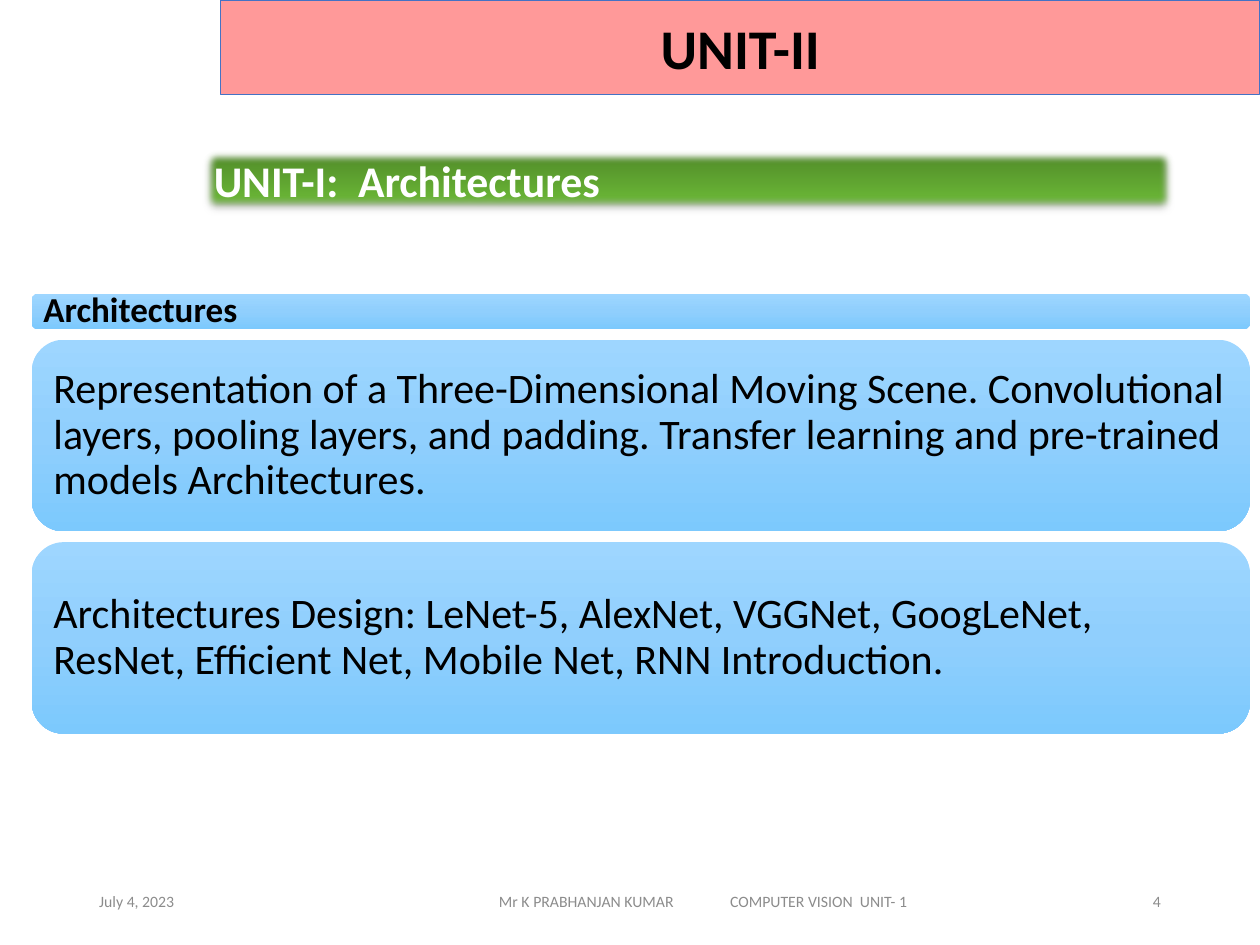
from dataclasses import dataclass

import lxml.etree
import pptx
import pptx.dml.color
import pptx.enum.shapes
import pptx.enum.text
import pptx.oxml.ns
import pptx.util

Cm = pptx.util.Cm
Pt = pptx.util.Pt
qn = pptx.oxml.ns.qn
Shapes = pptx.enum.shapes.MSO_SHAPE
Align = pptx.enum.text.PP_ALIGN
Anchor = pptx.enum.text.MSO_ANCHOR

BLUE_STOPS = [(0, "9ED6FF"), (50, "90CFFD"), (100, "7CC9FD")]
GREEN_STOPS = [(0, "4D8527"), (80, "6AB636"), (100, "6ABA34")]
CARD_GAP = 0.22


@dataclass
class Box:
    left: float
    top: float
    width: float
    height: float

    def lengths(self):
        return Cm(self.left), Cm(self.top), Cm(self.width), Cm(self.height)


@dataclass
class Footer:
    text: str
    left: float
    width: float
    align: Align = Align.LEFT
    inset: float = 0.25
    tab: float = 0


@dataclass
class Card:
    text: str
    height: float
    size: float = 24
    bold: bool = False
    inset: float = 0.25
    inset_y: float = 0.25


def rgb(value: str):
    return pptx.dml.color.RGBColor.from_string(value)


def add_element(parent, tag: str, **attributes):
    return lxml.etree.SubElement(
        parent, qn(tag), {key: str(value) for key, value in attributes.items()}
    )


def write_text(shape, text: str, *, size: float, color: str = "000000",
               bold: bool = False, align=Align.LEFT, anchor=Anchor.MIDDLE,
               inset: float = 0.25, inset_y: float = 0.13,
               line_spacing: float | None = None, tab: float = 0):
    frame = shape.text_frame
    frame.word_wrap = True
    frame.vertical_anchor = anchor
    frame.margin_left = frame.margin_right = Cm(inset)
    frame.margin_top = frame.margin_bottom = Cm(inset_y)
    paragraph = frame.paragraphs[0]
    paragraph.alignment = align
    if line_spacing:
        paragraph.line_spacing = line_spacing
    if tab:
        tabs = add_element(paragraph._p.get_or_add_pPr(), "a:tabLst")
        add_element(tabs, "a:tab", pos=Cm(tab), algn="l")
    run = paragraph.add_run()
    run.text = text
    run.font.name = "Calibri"
    run.font.size = Pt(size)
    run.font.bold = bold
    run.font.color.rgb = rgb(color)


def add_panel(slide, preset, box: Box):
    panel = slide.shapes.add_shape(preset, *box.lengths())
    panel.shadow.inherit = False
    panel.line.fill.background()
    return panel


def fill_downward(shape, stops: list[tuple[int, str]]):
    shape.fill.gradient()
    shape.fill.gradient_angle = 270
    stop_list = shape._element.spPr.find(qn("a:gradFill")).find(qn("a:gsLst"))
    for stop in list(stop_list):
        stop_list.remove(stop)
    for position, color in stops:
        stop = add_element(stop_list, "a:gs", pos=position * 1000)
        add_element(stop, "a:srgbClr", val=color)


def soften(shape):
    effects = shape._element.spPr.find(qn("a:effectLst"))
    shadow = add_element(effects, "a:outerShdw", blurRad=Pt(3.1), dist=Pt(1.8),
                         dir=90 * 60000, rotWithShape=0)
    color = add_element(shadow, "a:srgbClr", val="000000")
    add_element(color, "a:alpha", val=35000)
    add_element(effects, "a:softEdge", rad=Pt(5))


def add_footer(slide, footer: Footer):
    box = Box(footer.left, 17.65, footer.width, 1.02)
    write_text(slide.shapes.add_textbox(*box.lengths()), footer.text, size=9,
               color="8C8C8C", align=footer.align, inset=footer.inset,
               tab=footer.tab)


def add_cards(slide, cards: list[Card], top: float):
    for card in cards:
        panel = add_panel(slide, Shapes.ROUNDED_RECTANGLE,
                          Box(0.64, top, 24.56, card.height))
        fill_downward(panel, BLUE_STOPS)
        write_text(panel, card.text, size=card.size, bold=card.bold,
                   inset=card.inset, inset_y=card.inset_y, line_spacing=0.9)
        top += card.height + CARD_GAP


def main():
    deck = pptx.Presentation()
    deck.slide_width, deck.slide_height = Cm(25.4), Cm(19.05)
    slide = deck.slides.add_slide(deck.slide_layouts[6])

    for footer in [
        Footer("July 4, 2023", 1.75, 5.72),
        Footer("Mr K PRABHANJAN KUMAR\tCOMPUTER VISION  UNIT- 1", 8.05, 12.27,
               inset=2.01, tab=4.66),
        Footer("4", 17.93, 5.72, Align.RIGHT),
    ]:
        add_footer(slide, footer)

    title = add_panel(slide, Shapes.RECTANGLE, Box(4.45, 0, 20.95, 1.9))
    title.fill.solid()
    title.fill.fore_color.rgb = rgb("FF9999")
    title.line.color.rgb = rgb("4472C4")
    title.line.width = Pt(0.5)
    write_text(title, "UNIT-II", size=32, bold=True, align=Align.CENTER)

    unit = add_panel(slide, Shapes.RECTANGLE, Box(4.06, 2.97, 19.63, 1.32))
    fill_downward(unit, GREEN_STOPS)
    soften(unit)
    write_text(unit, "UNIT-I:  Architectures", size=25, color="FFFFFF",
               bold=True, anchor=Anchor.TOP)

    add_cards(slide, [
        Card("Architectures", 0.71, size=20, bold=True, inset=0.2, inset_y=0),
        Card("Representation of a Three-Dimensional Moving Scene. Convolutional "
             "layers, pooling layers, and padding. Transfer learning and "
             "pre-trained models Architectures.", 3.86),
        Card("Architectures Design: LeNet-5, AlexNet, VGGNet, GoogLeNet, ResNet, "
             "Efficient Net, Mobile Net, RNN Introduction.", 3.86),
    ], top=5.92)

    deck.save("out.pptx")


if __name__ == "__main__":
    main()
